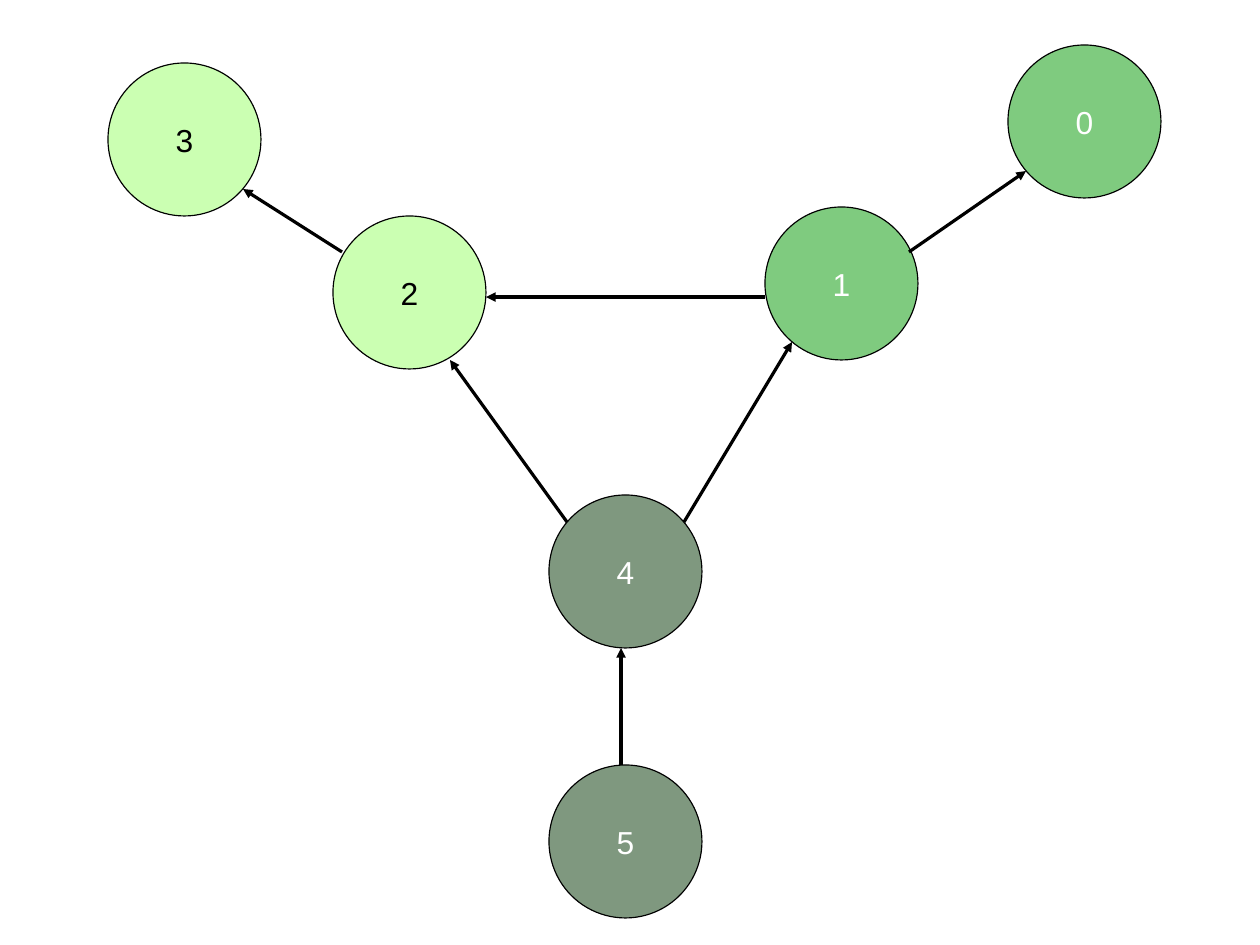
from pptx import Presentation
from pptx.dml.color import RGBColor
from pptx.enum.shapes import MSO_CONNECTOR, MSO_SHAPE
from pptx.enum.text import MSO_ANCHOR, PP_ALIGN
from pptx.oxml.ns import qn
from pptx.util import Cm, Pt
from lxml.etree import SubElement

THEME = {
    "lime": RGBColor(0x99, 0xFF, 0x66),
    "green": RGBColor(0x00, 0x99, 0x00),
    "dark": RGBColor(0x00, 0x33, 0x00),
    "black": RGBColor(0, 0, 0),
    "white": RGBColor(0xFF, 0xFF, 0xFF),
    "font": "Arial",
    "size": Pt(20),
    "opacity": 50,
    "line": Pt(0),
}
DIAMETER = 3.4

prs = Presentation()
prs.slide_width, prs.slide_height = Cm(28), Cm(21)
s = prs.slides.add_slide(prs.slide_layouts[6])

# Nodes: label, left, top, fill, text colour
nodes = [
    ("2", 7.4, 4.8, "lime", "black"),
    ("3", 2.4, 1.4, "lime", "black"),
    ("1", 17, 4.6, "green", "white"),
    ("0", 22.4, 1, "green", "white"),
    ("4", 12.2, 11, "dark", "white"),
    ("5", 12.2, 17, "dark", "white"),
]
for label, left, top, fill, ink in nodes:
    sp = s.shapes.add_shape(MSO_SHAPE.OVAL, Cm(left), Cm(top), Cm(DIAMETER), Cm(DIAMETER))
    sp.shadow.inherit = False
    sp.fill.solid()
    sp.fill.fore_color.rgb = THEME[fill]
    color = sp.fill._xPr.find(qn("a:solidFill"))[0]
    SubElement(color, qn("a:alpha"), val=str(THEME["opacity"] * 1000))
    sp.line.color.rgb = THEME["black"]
    sp.line.width = THEME["line"]

    tf = sp.text_frame
    tf.text = label
    tf.word_wrap = False
    tf.vertical_anchor = MSO_ANCHOR.MIDDLE
    p = tf.paragraphs[0]
    p.alignment = PP_ALIGN.CENTER
    r = p.runs[0]
    r.font.name = THEME["font"]
    r.font.size = THEME["size"]
    r.font.color.rgb = THEME[ink]

# Edges: start x, start y, end x, end y; the arrowhead sits at the end
edges = [
    (7.6, 5.6, 5.4, 4.2),      # 2 to 3
    (17, 6.6, 10.8, 6.6),      # 1 to 2
    (12.6, 11.6, 10, 8),       # 4 to 2
    (15.2, 11.6, 17.6, 7.6),   # 4 to 1
    (13.8, 17, 13.8, 14.4),    # 5 to 4
    (20.2, 5.6, 22.8, 3.8),    # 1 to 0
]
for edge in edges:
    edge_line = s.shapes.add_connector(MSO_CONNECTOR.STRAIGHT, *map(Cm, edge))
    edge_line.line.color.rgb = THEME["black"]
    edge_line.line.width = THEME["line"]
    SubElement(edge_line.line._get_or_add_ln(), qn("a:tailEnd"), type="triangle")
    SubElement(edge_line._element.spPr, qn("a:effectLst"))

prs.save("out.pptx")
